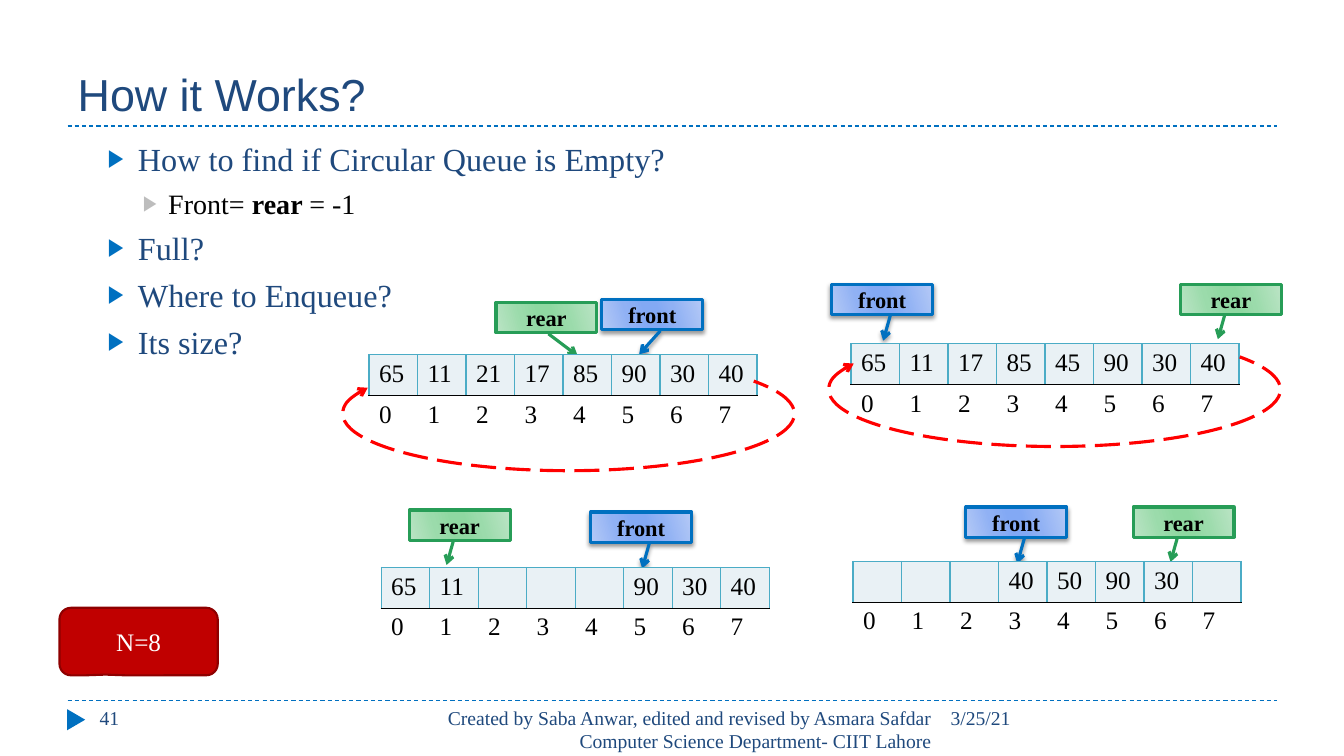
import copy

import lxml.etree
import pptx
import pptx.dml.color
import pptx.enum.dml
import pptx.enum.shapes
import pptx.enum.text
import pptx.oxml
import pptx.oxml.ns
import pptx.util
from pptx.util import Inches

SHAPE = pptx.enum.shapes.MSO_SHAPE
ALIGN = pptx.enum.text.PP_ALIGN
ANCHOR = pptx.enum.text.MSO_ANCHOR
DASH = pptx.enum.dml.MSO_LINE
SERIF = "Times New Roman"
COLORS = {
    "navy": "1F497D", "blue": "0070C0", "green": "279D57", "red": "FF0000",
    "brick": "C00000", "brick_edge": "8E0000", "grey": "BDBDBD",
    "black": "000000", "white": "FFFFFF", "cell": "E9F1F5", "grid": "4BACC6",
}
POINTERS = {
    "front": {"edge": "blue", "shades": ("B4C9F6", "90B1F4", "83A9F4")},
    "rear": {"edge": "green", "shades": ("BBE4C5", "9BDBAB", "8FD8A1")},
}
FRONT_TAIL = (1.04, 0.42, 1.87, 0.49)
REAR_TAIL = (0.99, 0.56, 1.82, 0.63)


def rgb(name):
    return pptx.dml.color.RGBColor.from_string(COLORS.get(name, name))


def add_xml(parent, tag, **attributes):
    """Append an element of the drawing namespace and return it."""
    return lxml.etree.SubElement(parent, pptx.oxml.ns.qn(tag), attributes)


def write(paragraph, text, size=18, color="black", font=SERIF, bold=False, align=ALIGN.LEFT):
    run = paragraph.add_run()
    run.text = text
    run.font.size = pptx.util.Pt(size)
    run.font.name = font
    run.font.bold = bold
    run.font.color.rgb = rgb(color)
    paragraph.alignment = align


def set_line(line, color, width, dash=None, arrow=None):
    line.color.rgb = rgb(color)
    line.width = pptx.util.Pt(width)
    if dash:
        line.dash_style = dash
    if arrow:
        add_xml(line._get_or_add_ln(), arrow, type="arrow")


def add_text_box(slide, left, top, width, height):
    frame = slide.shapes.add_textbox(
        Inches(left), Inches(top), Inches(width), Inches(height)).text_frame
    frame.word_wrap = True
    return frame


def add_preset(slide, kind, left, top, width, height, adjustments=()):
    shape = slide.shapes.add_shape(
        kind, Inches(left), Inches(top), Inches(width), Inches(height))
    shape.shadow.inherit = False
    for index, value in enumerate(adjustments):
        shape.adjustments[index] = value
    return shape


def write_label(shape, text, **style):
    frame = shape.text_frame
    frame.vertical_anchor = ANCHOR.MIDDLE
    write(frame.paragraphs[0], text, align=ALIGN.CENTER, **style)


def add_rule(slide, y):
    rule = slide.shapes.add_connector(
        pptx.enum.shapes.MSO_CONNECTOR.STRAIGHT, Inches(0.67), Inches(y), Inches(12.67), Inches(y))
    set_line(rule.line, "blue", 0.75, DASH.DASH)
    add_xml(rule._element.spPr, "a:effectLst")


def fill_glossy(shape, shades):
    """Mirror three shades around the middle of a gradient."""
    shape.fill.gradient()
    shape.fill.gradient_angle = 360 - 16
    stop_list = shape._element.spPr.find(".//" + pptx.oxml.ns.qn("a:gsLst"))
    while len(stop_list) < 6:
        stop_list.append(copy.deepcopy(stop_list[0]))
    positions = (0, 0.3, 0.45, 0.55, 0.73, 1)
    for stop, position, shade in zip(shape.fill.gradient_stops, positions, shades + shades[::-1]):
        stop.position = position
        stop.color.rgb = rgb(shade)


def add_pointer(slide, role, left, top, tail):
    pointer = add_preset(slide, SHAPE.LINE_CALLOUT_1, left, top, 1, 0.3, tail)
    properties = pointer._element.spPr
    properties.xfrm.set("flipH", "1")
    fill_glossy(pointer, POINTERS[role]["shades"])
    set_line(pointer.line, POINTERS[role]["edge"], 2.25, arrow="a:tailEnd")
    if role == "front":
        effects = properties.find(pptx.oxml.ns.qn("a:effectLst"))
        shadow = add_xml(effects, "a:outerShdw", blurRad="38100", dist="25400",
                         dir="5400000", rotWithShape="0")
        add_xml(add_xml(shadow, "a:srgbClr", val=COLORS["black"]), "a:alpha", val="40000")
    write_label(pointer, role, size=16, bold=True)


def set_borders(cell, **sides):
    """Draw the given sides (L, R, T, B) and hide the others."""
    properties = cell._tc.get_or_add_tcPr()
    for side in "LRTB":
        border = add_xml(properties, "a:ln" + side, w="12700")
        if side in sides:
            add_xml(add_xml(border, "a:solidFill"), "a:srgbClr", val=COLORS[sides[side]])
        else:
            add_xml(border, "a:noFill")


def add_queue(slide, left, top, values):
    """Draw the slots of a queue above their indexes."""
    queue = slide.shapes.add_table(
        2, len(values), Inches(left), Inches(top), Inches(3.85), Inches(0.81)).table
    queue.first_row = queue.horz_banding = False
    for row in queue.rows:
        row.height = Inches(0.405)
    for index, value in enumerate(values):
        slot, number = queue.cell(0, index), queue.cell(1, index)
        set_borders(slot, L="grid", R="grid", T="grid", B="black")
        slot.fill.solid()
        slot.fill.fore_color.rgb = rgb("cell")
        if value:
            write(slot.text_frame.paragraphs[0], value)
        set_borders(number, T="black")
        number.fill.background()
        write(number.text_frame.paragraphs[0], str(index))


def add_wrap_arrow(slide, left, top):
    arrow = add_preset(slide, SHAPE.ARC, left, top, 4.48, 1.13, (103.57, 6))
    arrow._element.spPr.xfrm.set("flipV", "1")
    arrow.fill.background()
    set_line(arrow.line, "red", 2.25, DASH.LONG_DASH, "a:headEnd")


def add_bullet(paragraph, level, color, margin, hanging):
    paragraph.level = level
    paragraph.space_before = pptx.util.Pt(6)
    properties = paragraph._p.get_or_add_pPr()
    properties.set("marL", str(Inches(margin)))
    properties.set("indent", str(-Inches(hanging)))
    add_xml(add_xml(properties, "a:buClr"), "a:srgbClr", val=COLORS[color])
    add_xml(properties, "a:buSzPct", val="76000")
    add_xml(properties, "a:buFont", typeface="Arial")
    add_xml(properties, "a:buChar", char="▶")


def add_questions(slide):
    frame = add_text_box(slide, 0.67, 1.33, 12, 5.4)
    questions = ("How to find if Circular Queue is Empty?", "Full?", "Where to Enqueue?", "Its size?")
    for number, question in enumerate(questions):
        paragraph = frame.add_paragraph() if number else frame.paragraphs[0]
        add_bullet(paragraph, 0, "blue", 0.6, 0.3)
        write(paragraph, question, size=23, color="navy")
        if number == 0:
            answer = frame.add_paragraph()
            add_bullet(answer, 1, "grey", 0.9, 0.25)
            for text, bold in (("Front=", False), (" rear ", True), ("= -1", False)):
                write(answer, text, size=20, bold=bold)


def add_title(slide, text):
    title = slide.shapes.title
    title.left, title.top, title.width, title.height = map(Inches, (0.67, 0.17, 12, 1.08))
    title.text_frame.vertical_anchor = ANCHOR.BOTTOM
    title.text_frame.auto_size = pptx.enum.text.MSO_AUTO_SIZE.NONE
    write(title.text_frame.paragraphs[0], text, size=32, color="navy", font="Arial")


def add_footer(slide):
    marker = add_preset(slide, SHAPE.ISOSCELES_TRIANGLE, 0.65, 7.05, 0.21, 0.18)
    marker.rotation = 90
    marker.fill.solid()
    marker.fill.fore_color.rgb = rgb("blue")
    marker.line.fill.background()
    credit = ("Created by Saba Anwar, edited and revised by Asmara Safdar "
              "Computer Science Department- CIIT Lahore")
    for text, left, width, align in (("3/25/21", 9.33, 3.34, ALIGN.LEFT),
                                     (credit, 4.23, 5.11, ALIGN.RIGHT),
                                     ("41", 0.89, 2.89, ALIGN.LEFT)):
        frame = add_text_box(slide, left, 6.95, width, 0.4)
        write(frame.paragraphs[0], text, size=14, color="navy", align=align)


def add_capacity(slide):
    capacity = add_preset(slide, SHAPE.ROUNDED_RECTANGULAR_CALLOUT, 0.59, 6.03, 1.57, 0.67,
                          (-0.21, 0.49, 0.17))
    capacity.fill.solid()
    capacity.fill.fore_color.rgb = rgb("brick")
    set_line(capacity.line, "brick_edge", 1.5)
    write_label(capacity, "N=8", color="white")


def main():
    deck = pptx.Presentation()
    deck.slide_width, deck.slide_height = Inches(13.33), Inches(7.5)
    slide = deck.slides.add_slide(deck.slide_layouts[5])
    for y in (6.95, 1.25):
        add_rule(slide, y)
    add_title(slide, "How it Works?")
    add_footer(slide)
    add_questions(slide)
    for role, left, top, tail in (
            ("front", 5.97, 2.97, (1.04, 0.42, 1.82, 0.63)),
            ("rear", 4.92, 3, (1.04, 0.48, 1.77, 0.19)),
            ("front", 8.25, 2.82, FRONT_TAIL), ("rear", 11.71, 2.82, REAR_TAIL),
            ("front", 5.86, 5.08, FRONT_TAIL), ("rear", 4.06, 5.06, REAR_TAIL),
            ("front", 9.58, 5.03, FRONT_TAIL), ("rear", 11.24, 5.03, REAR_TAIL)):
        add_pointer(slide, role, left, top, tail)
    for left, top, values in ((3.66, 3.52, "65 11 21 17 85 90 30 40"),
                              (8.44, 3.41, "65 11 17 85 45 90 30 40"),
                              (3.78, 5.63, "65 11 - - - 90 30 40"),
                              (8.46, 5.57, "- - - 40 50 90 30 -")):
        add_queue(slide, left, top, [value.strip("-") for value in values.split()])
    add_wrap_arrow(slide, 8.22, 3.3)
    add_wrap_arrow(slide, 3.4, 3.54)
    add_capacity(slide)
    deck.save("out.pptx")


if __name__ == "__main__":
    main()
